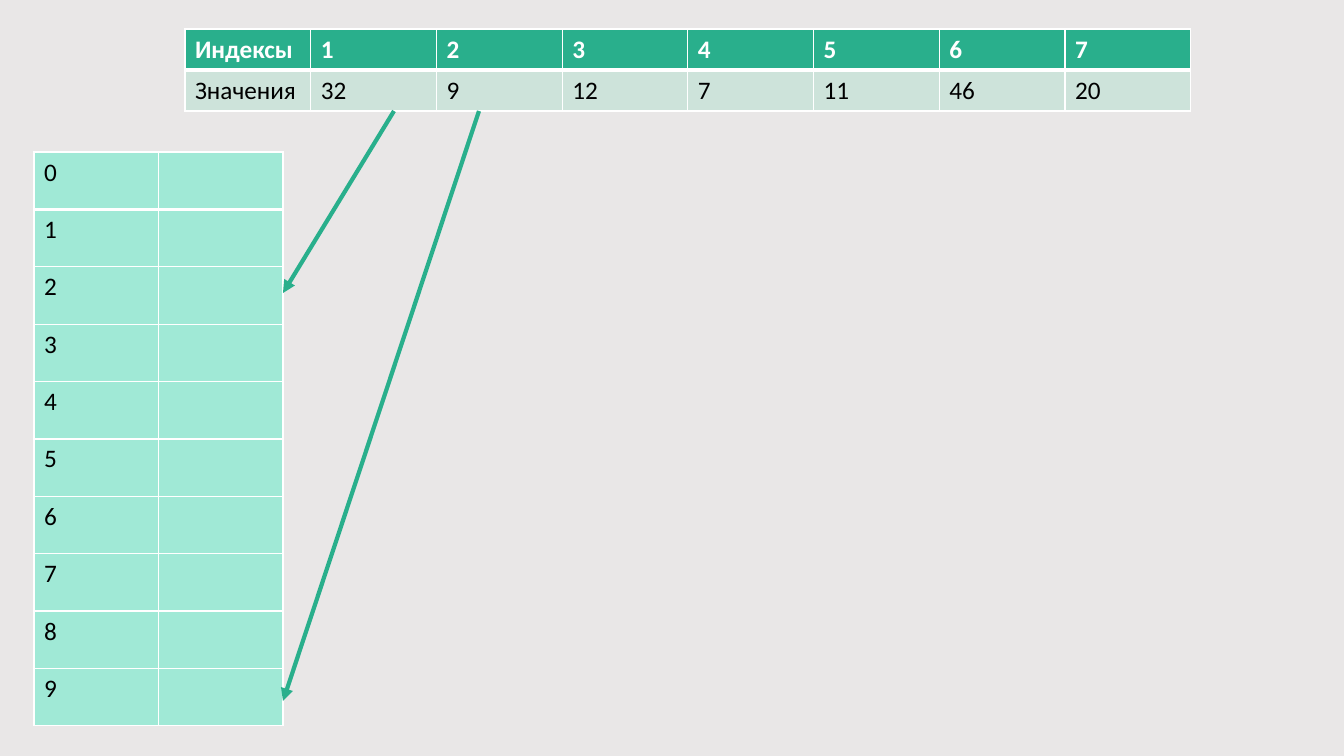
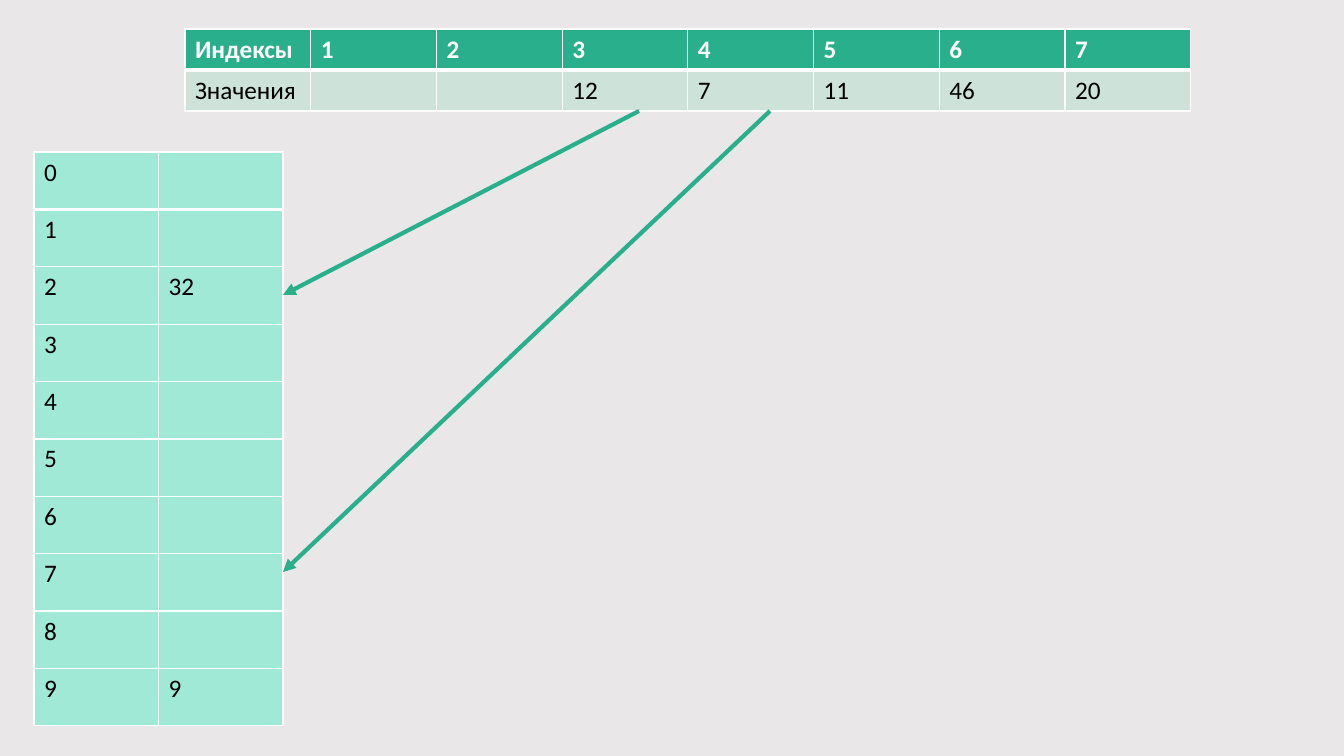
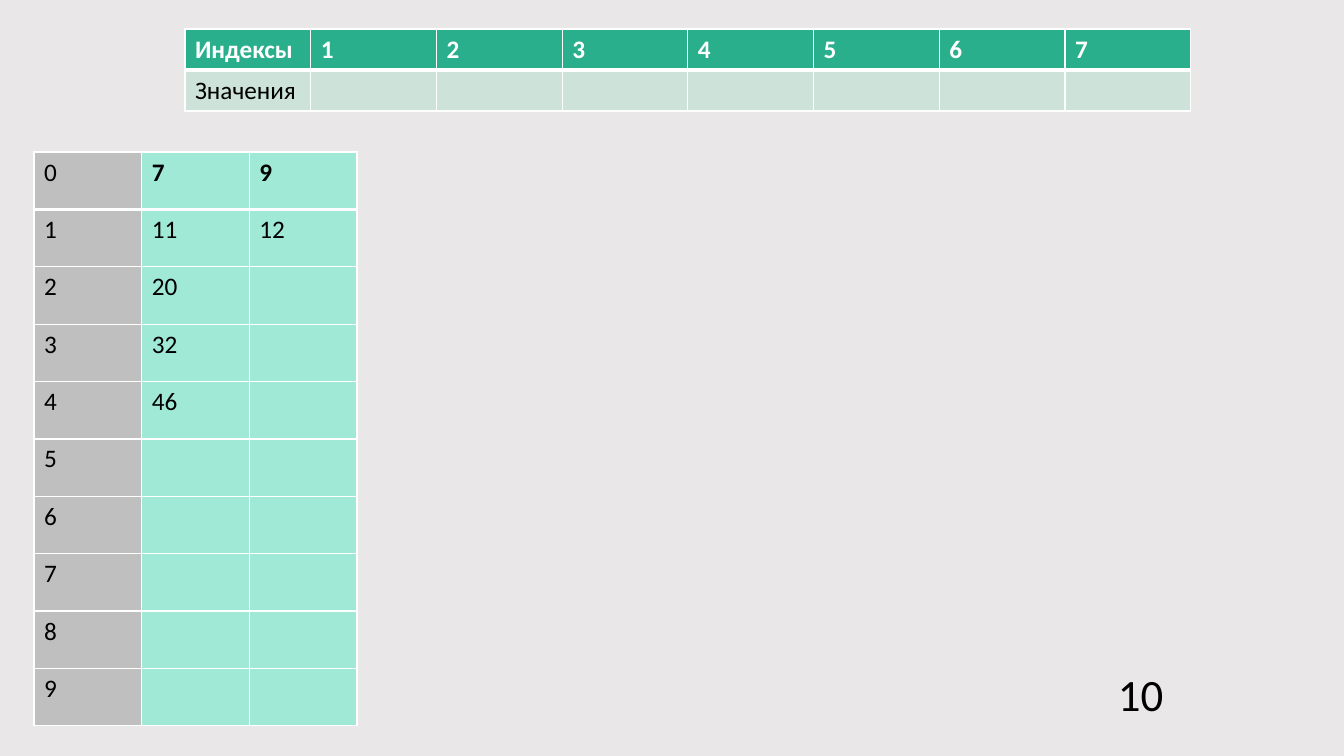
import pptx
import pptx.util
import pptx.dml.color
import pptx.enum.shapes
import pptx.oxml
import pptx.oxml.ns
import lxml.etree

# Shared look
COLOURS = {
    "background": "E9E7E7", "accent": "29AF8C", "values": "CDE3DA",
    "bucket": "A0E9D6", "digit": "BFBFBF", "white": "FFFFFF", "black": "000000",
}
FONT = "Calibri"
PAGE_WIDTH, PAGE_HEIGHT = 1344, 756
EMU_PER_PX = 914400 / 100.8
ARRAY_BOX = (185, 29, 1006, 82)
BUCKET_LEFT, BUCKET_TOP, BUCKET_HEIGHT = 34, 152, 574
ARRAY_BOTTOM = 111
THIN, THICK = 1, 3

# Content: array values, bucket contents by digit, arrows as (start x, end y)
INDEXES = ["Индексы", "1", "2", "3", "4", "5", "6", "7"]
VALUES_LABEL = "Значения"
SLIDES = [
    {
        "values": ["32", "9", "12", "7", "11", "46", "20"],
        "buckets": {},
        "bucket_columns": 1, "bucket_width": 249, "digit_fill": "bucket",
        "arrows": [(394, 293), (479, 701)],
    },
    {
        "values": ["", "", "12", "7", "11", "46", "20"],
        "buckets": {2: ["32"], 9: ["9"]},
        "bucket_columns": 1, "bucket_width": 249, "digit_fill": "bucket",
        "arrows": [(639, 295), (770, 572)],
    },
    {
        "values": [""] * 7,
        "buckets": {0: ["7", "9"], 1: ["11", "12"], 2: ["20"], 3: ["32"], 4: ["46"]},
        "bucket_columns": 2, "bucket_width": 323, "digit_fill": "digit",
        "arrows": [],
        "number": {"text": "10", "box": (1108, 662, 200, 65)},
    },
]


def px(length):
    return pptx.util.Emu(round(length * EMU_PER_PX))


def rgb(name):
    return pptx.dml.color.RGBColor.from_string(COLOURS[name])


def write(frame, text, size=18, colour="black", bold=False):
    span = frame.paragraphs[0].add_run()
    span.text = text
    span.font.name = FONT
    span.font.size = pptx.util.Pt(size)
    span.font.bold = bold
    span.font.color.rgb = rgb(colour)


def add_borders(cell, **widths):
    """Draw white borders; the fill is added after them, as the schema requires."""
    properties = cell._tc.get_or_add_tcPr()
    for side in "LRTB":
        line = pptx.oxml.parse_xml(
            f'<a:ln{side} {pptx.oxml.ns.nsdecls("a")} '
            f'w="{pptx.util.Pt(widths.get(side, THIN))}">'
            f'<a:solidFill><a:srgbClr val="{COLOURS["white"]}"/></a:solidFill>'
            f'</a:ln{side}>')
        properties.append(line)


def add_grid(page, box, rows, style):
    """Add an even table; style(row, column) gives fill, text colour and bold."""
    left, top, width, height = box
    table = page.shapes.add_table(len(rows), len(rows[0]), *map(px, box)).table
    table.first_row = table.horz_banding = False
    for column in table.columns:
        column.width = px(width / len(rows[0]))
    for row in table.rows:
        row.height = px(height / len(rows))
    for row_index, texts in enumerate(rows):
        for column_index, text in enumerate(texts):
            cell = table.cell(row_index, column_index)
            fill, colour, bold = style(row_index, column_index)
            # A thick rule runs under the first row
            add_borders(cell, B=THICK if row_index == 0 else THIN,
                        T=THICK if row_index == 1 else THIN)
            cell.fill.solid()
            cell.fill.fore_color.rgb = rgb(fill)
            if text:
                write(cell.text_frame, text, colour=colour, bold=bold)


def add_arrow(page, start_x, start_y, end_x, end_y):
    arrow = page.shapes.add_connector(
        pptx.enum.shapes.MSO_CONNECTOR.STRAIGHT,
        px(start_x), px(start_y), px(end_x), px(end_y))
    arrow.line.color.rgb = rgb("accent")
    arrow.line.width = pptx.util.Pt(3)
    lxml.etree.SubElement(arrow.line._get_or_add_ln(),
                          pptx.oxml.ns.qn("a:tailEnd"), type="triangle")
    lxml.etree.SubElement(arrow._element.spPr, pptx.oxml.ns.qn("a:effectLst"))


def build_page(deck, content):
    page = deck.slides.add_slide(deck.slide_layouts[6])

    # Source array
    add_grid(page, ARRAY_BOX, [INDEXES, [VALUES_LABEL] + content["values"]],
             lambda row, column: (("accent", "white", True) if row == 0
                                  else ("values", "black", False)))

    # Buckets for the digits 0 to 9
    columns = content["bucket_columns"]
    rows = []
    for digit in range(10):
        items = content["buckets"].get(digit, [])
        rows.append([str(digit)] + items + [""] * (columns - len(items)))
    add_grid(page, (BUCKET_LEFT, BUCKET_TOP, content["bucket_width"], BUCKET_HEIGHT), rows,
             lambda row, column: (content["digit_fill"] if column == 0 else "bucket",
                                  "black", row == 0 and column > 0))

    # Arrows from the array to the buckets
    for start_x, end_y in content["arrows"]:
        add_arrow(page, start_x, ARRAY_BOTTOM,
                  BUCKET_LEFT + content["bucket_width"], end_y)

    # Number in the corner
    if "number" in content:
        box = page.shapes.add_textbox(*map(px, content["number"]["box"]))
        box.text_frame.word_wrap = True
        write(box.text_frame, content["number"]["text"], size=32)


def main():
    deck = pptx.Presentation()
    deck.slide_width, deck.slide_height = px(PAGE_WIDTH), px(PAGE_HEIGHT)
    background = deck.slide_master.background.fill
    background.solid()
    background.fore_color.rgb = rgb("background")
    for content in SLIDES:
        build_page(deck, content)
    deck.save("out.pptx")


if __name__ == "__main__":
    main()
